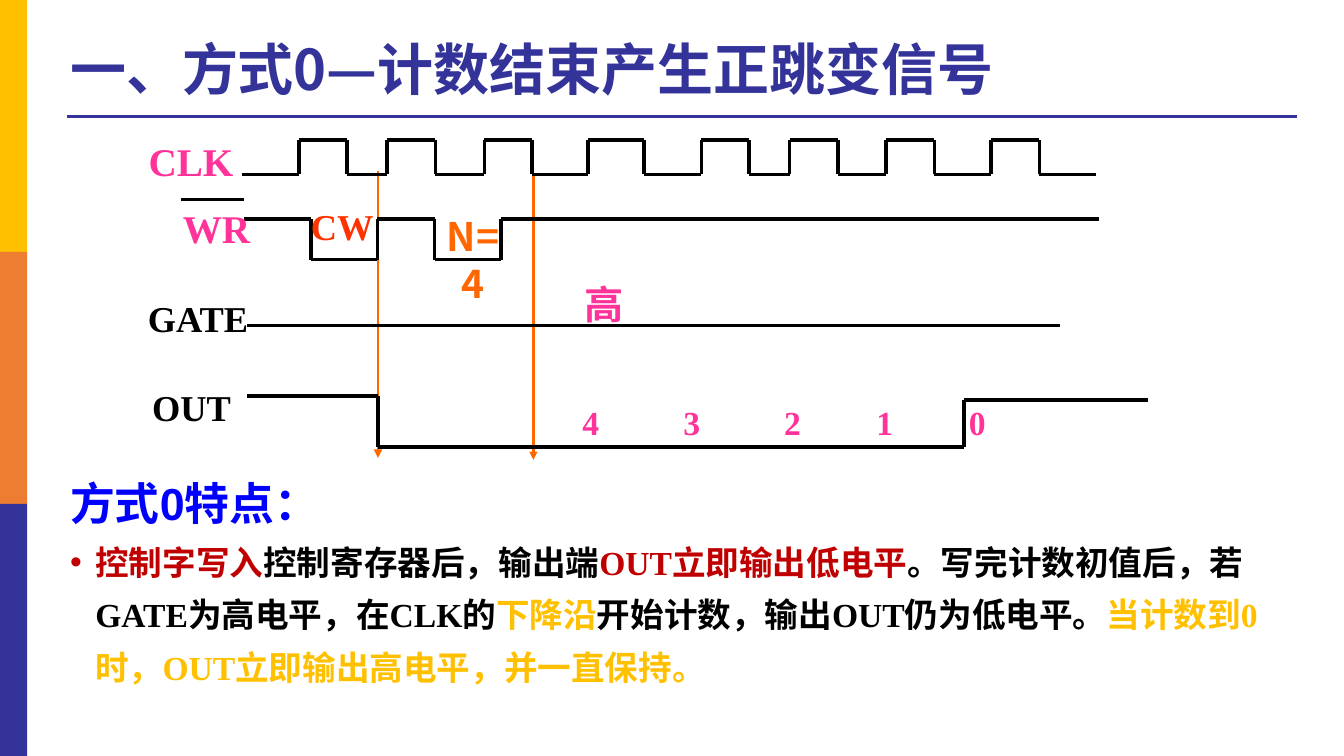
from itertools import pairwise

from lxml import etree
from pptx import Presentation
from pptx import util as u
from pptx.dml.color import RGBColor
from pptx.enum import lang, shapes, text
from pptx.oxml import ns

SERIF, SANS, HAN = "Times New Roman", "Arial", "Noto Sans CJK SC"
BLACK, INDIGO, PINK, ORANGE, GOLD, RED = (
    "000000", "333399", "FF3399", "FF6600", "FFC000", "C00000")


def color(value):
    """Turn a hex string into a colour."""
    return RGBColor.from_string(value)


def line(slide, start, end, ink, width, arrow=False):
    """Draw a straight line, with an arrowhead at its end if asked."""
    stroke = slide.shapes.add_connector(
        shapes.MSO_CONNECTOR.STRAIGHT, *(u.Pt(v) for v in (*start, *end)))
    stroke.line.color.rgb = color(ink)
    stroke.line.width = u.Pt(width)
    etree.SubElement(stroke._element.spPr, ns.qn("a:effectLst"))
    if arrow:
        etree.SubElement(stroke.line._get_or_add_ln(), ns.qn("a:tailEnd"), type="triangle")


def frame(slide, left, top, width, height, **formats):
    """Add a wrapping text box and return its text frame."""
    box = slide.shapes.add_textbox(*(u.Pt(v) for v in (left, top, width, height)))
    for key, value in {"word_wrap": True, **formats}.items():
        setattr(box.text_frame, key, value)
    return box.text_frame


def write(paragraph, runs, size, face, **formats):
    """Fill a paragraph with bold (words, colour) runs."""
    for key, value in formats.items():
        setattr(paragraph, key, value)
    for words, ink in runs:
        run = paragraph.add_run()
        run.text = words
        style = {"size": u.Pt(size), "name": face, "bold": True,
                 "language_id": lang.MSO_LANGUAGE_ID.SIMPLIFIED_CHINESE}
        for key, value in style.items():
            setattr(run.font, key, value)
        run.font.color.rgb = color(ink)


def label(slide, left, top, width, words, size, ink, face=SERIF, **formats):
    """Place a one-paragraph label."""
    area = frame(slide, left, top, width, size * 1.15 + 8)
    write(area.paragraphs[0], [(words, ink)], size, face, **formats)
    return area.paragraphs[0]


def wave(slide, left, top, edges, levels, width=2.5):
    """Draw a signal that holds each level between successive edges."""
    corners = [(left + x, top + level)
               for span, level in zip(pairwise(edges), levels) for x in span]
    for start, end in pairwise(corners):
        line(slide, start, end, BLACK, width)


def side_bar(slide, left, top, width, height):
    """Stack three equal colour bands."""
    for row, band_color in enumerate((GOLD, "ED7D31", INDIGO)):
        band = slide.shapes.add_shape(
            shapes.MSO_SHAPE.RECTANGLE, u.Pt(left), u.Pt(top + row * height / 3),
            u.Pt(width), u.Pt(height / 3))
        band.shadow.inherit = False
        band.fill.solid()
        band.fill.fore_color.rgb = color(band_color)
        band.line.fill.background()


def heading(slide, left, top, width, height):
    """Place the title above its rule."""
    area = frame(slide, left, top, width, height, vertical_anchor=text.MSO_ANCHOR.MIDDLE)
    write(area.paragraphs[0], [("一、方式0—计数结束产生正跳变信号", INDIGO)], 40, HAN, line_spacing=0.9)
    line(slide, (left + 5, top + height), (left + 883.5, top + height), INDIGO, 2.25)


def clock_row(slide, left, top):
    """Draw the CLK signal."""
    edges = (0, 40.5, 75, 103.5, 138, 173, 207, 247, 287, 328,
             362, 391, 425.5, 460, 494.5, 535, 569.5, 610)
    wave(slide, left, top, edges, [24.5, 0] * 8 + [24.5])
    label(slide, left - 74, top - 5.5, 115, "CLK", 28, PINK)


def write_row(slide, left, top):
    """Draw the WR signal with its two write pulses."""
    wave(slide, left, top, (0, 47.5, 95, 136, 183.5, 610.5), (0, 29, 0, 29, 0))
    label(slide, left - 51, top - 14, 64, "WR", 28, PINK)
    line(slide, (left - 45.5, top - 14), (left, top - 14), BLACK, 2.75)
    label(slide, left + 40.5, top - 14, 92, "CW", 26, "FF3300")
    label(slide, left + 130.5, top - 8.5, 66, "N=4", 28, ORANGE, HAN,
          alignment=text.PP_ALIGN.CENTER)


def gate_row(slide, left, top):
    """Draw the GATE signal, held high."""
    wave(slide, left, top, (0, 581), (0,), 2.75)
    label(slide, left - 78, top - 24.5, 109, "GATE", 26, BLACK)
    label(slide, left + 234, top - 36, 155, "高", 28, PINK)


def out_row(slide, left, top):
    """Draw the OUT signal with the remaining counts."""
    wave(slide, left, top, (0, 93.5, 512, 643.5), (0, 36, 3), 2.75)
    label(slide, left - 75, top - 11.5, 96, "OUT", 26, BLACK)
    counts = label(slide, left + 232.5, top + 0.5, 366, "4\t3\t2\t1\t0", 24, PINK)
    tabs = etree.SubElement(counts._p.get_or_add_pPr(), ns.qn("a:tabLst"))
    for stop in (72, 144, 210, 276):
        etree.SubElement(tabs, ns.qn("a:tab"), pos=str(u.Pt(stop)), algn="l")


def timing_diagram(slide, left, top):
    """Stack the four signals and mark the two trigger moments."""
    for x, y, end in ((97, 22.5, 227), (208, 24.5, 228.5)):
        line(slide, (left + x, top + y), (left + x, top + end), ORANGE, 1.75, True)
    clock_row(slide, left, top)
    write_row(slide, left + 1.5, top + 56.5)
    gate_row(slide, left + 3.5, top + 132.5)
    out_row(slide, left + 3.5, top + 183)


def features(slide, left, top, width, height):
    """Describe the mode in a heading and one bullet."""
    area = frame(slide, left, top, width, height)
    write(area.paragraphs[0], [("方式0特点：", "0000FF")], 32, SANS, line_spacing=1.1)
    bullet = area.add_paragraph()
    layout = bullet._p.get_or_add_pPr()
    layout.set("marL", str(u.Pt(18)))
    layout.set("indent", str(u.Pt(-18)))
    etree.SubElement(layout, ns.qn("a:buFont"), typeface=SANS)
    etree.SubElement(layout, ns.qn("a:buChar"), char="•")
    write(bullet, [
        ("控制字写入", RED), ("控制寄存器后，输出端", BLACK), ("OUT立即输出低电平", RED),
        ("。写完计数初值后，若GATE为高电平，在CLK的", BLACK), ("下降沿", GOLD),
        ("开始计数，输出OUT仍为低电平。", BLACK),
        ("当计数到0时，OUT立即输出高电平，并一直保持。", GOLD),
    ], 24, SERIF, line_spacing=1.3)


def main():
    """Build the slide and save it."""
    deck = Presentation()
    deck.slide_width, deck.slide_height = u.Pt(960), u.Pt(540)
    slide = deck.slides.add_slide(deck.slide_layouts[6])
    side_bar(slide, 0, 0, 19.5, 540)
    heading(slide, 43, 20, 713.5, 63)
    timing_diagram(slide, 173, 100)
    features(slide, 43, 332.5, 881.5, 200)
    deck.save("out.pptx")


if __name__ == "__main__":
    main()
